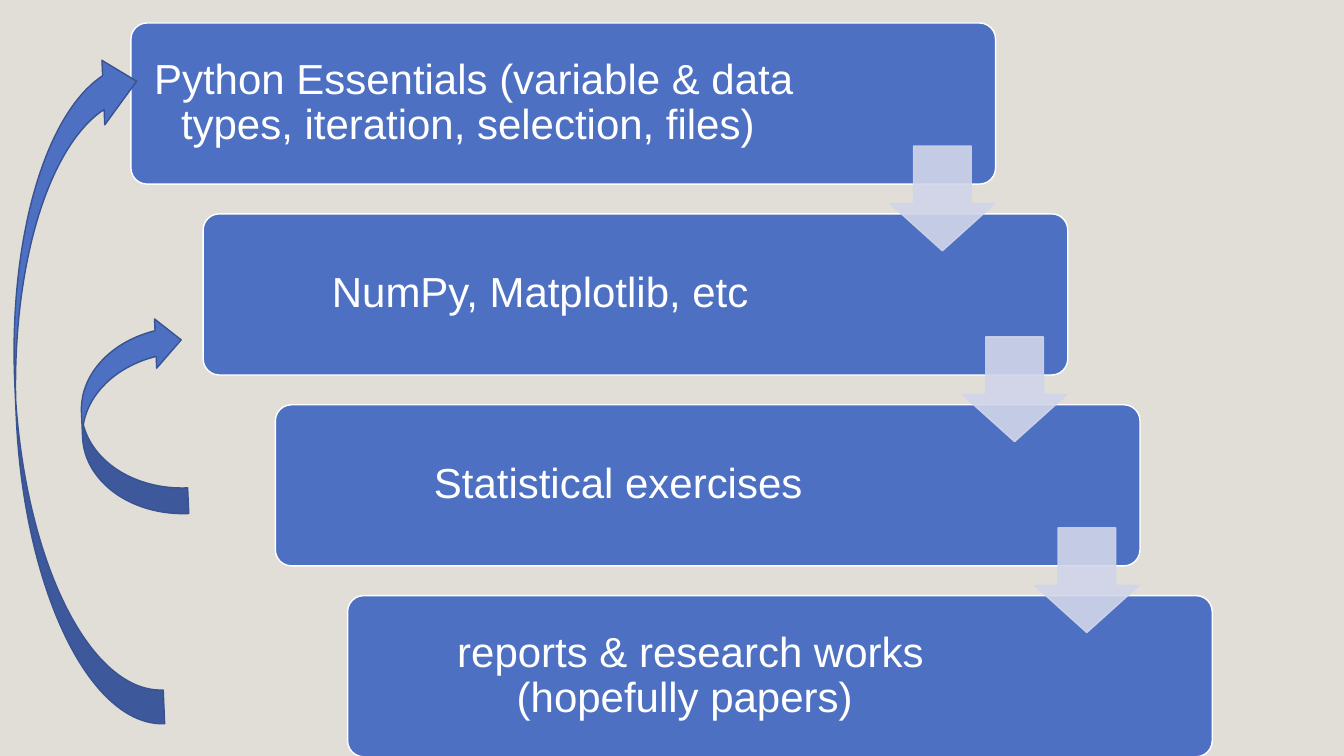
from lxml.etree import SubElement
from pptx import Presentation
from pptx.dml.color import RGBColor
from pptx.enum.shapes import MSO_SHAPE
from pptx.enum.text import MSO_ANCHOR, PP_ALIGN
from pptx.oxml.ns import qn
from pptx.util import Cm, Pt

# Content
STEPS = [
    "Python Essentials (variable & data types, iteration, selection, files) ",
    "NumPy, Matplotlib, etc ",
    "Statistical exercises",
    "reports & research works (hopefully papers) ",
]
# Loops back to earlier steps: left, top, width, height in cm
RETURN_ARROWS = [(2.06, 8.0, 2.59, 5.0), (0.38, 1.3, 3.4, 17.02)]

COLORS = {
    "background": "E1DED8",
    "box": "4D70C3",
    "white": "FFFFFF",
    "down_arrow": "D0D5E9",
    "return_line": "395390",
}

# Staircase geometry in cm
BOX_LEFT, BOX_TOP, BOX_WIDTH, BOX_HEIGHT = 3.3, 0.58, 21.79, 4.06
STEP_RIGHT, STEP_DOWN = 1.82, 4.81
ARROW_LEFT, ARROW_TOP, ARROW_SIZE = 22.43, 3.68, 2.64
TEXT_INSET, TEXT_RIGHT_INSET = 0.3, 4.8


def color(name):
    return RGBColor.from_string(COLORS[name])


def add_shape(slide, kind, bounds, adjustments, fill, line):
    shape = slide.shapes.add_shape(kind, *(Cm(length) for length in bounds))
    for index, value in enumerate(adjustments):
        shape.adjustments[index] = value
    shape.shadow.inherit = False
    shape.fill.solid()
    shape.fill.fore_color.rgb = color(fill)
    shape.line.color.rgb = color(line)
    shape.line.width = Pt(1)
    return shape


def add_box(slide, text, left, top):
    box = add_shape(slide, MSO_SHAPE.ROUNDED_RECTANGLE,
                    (left, top, BOX_WIDTH, BOX_HEIGHT), [0.1], "box", "white")
    frame = box.text_frame
    frame.word_wrap = True
    frame.vertical_anchor = MSO_ANCHOR.MIDDLE
    frame.margin_left = frame.margin_top = frame.margin_bottom = Cm(TEXT_INSET)
    frame.margin_right = Cm(TEXT_RIGHT_INSET)
    frame.text = text
    paragraph = frame.paragraphs[0]
    paragraph.alignment = PP_ALIGN.CENTER
    paragraph.line_spacing = 0.9
    font = paragraph.runs[0].font
    font.name, font.size = "Arial", Pt(30)
    font.color.rgb = color("white")


def add_down_arrow(slide, left, top):
    arrow = add_shape(slide, MSO_SHAPE.DOWN_ARROW, (left, top, ARROW_SIZE, ARROW_SIZE),
                      [0.55, 0.45], "down_arrow", "down_arrow")
    # Fill and line are 90% opaque
    for rgb in arrow.element.spPr.iter(qn("a:srgbClr")):
        SubElement(rgb, qn("a:alpha"), val="90000")


def add_return_arrow(slide, bounds):
    arrow = add_shape(slide, MSO_SHAPE.CURVED_RIGHT_ARROW, bounds,
                      [0.25, 0.479, 0.25], "box", "return_line")
    arrow.rotation = 357.5
    arrow.element.spPr.find(qn("a:xfrm")).set("flipV", "1")


def main():
    presentation = Presentation()
    presentation.slide_width, presentation.slide_height = Cm(33.87), Cm(19.05)
    slide = presentation.slides.add_slide(presentation.slide_layouts[6])
    slide.background.fill.solid()
    slide.background.fill.fore_color.rgb = color("background")

    # Staircase of steps
    for index, text in enumerate(STEPS):
        add_box(slide, text, BOX_LEFT + index * STEP_RIGHT, BOX_TOP + index * STEP_DOWN)

    # One arrow between each pair of steps
    for index in range(len(STEPS) - 1):
        add_down_arrow(slide, ARROW_LEFT + index * STEP_RIGHT, ARROW_TOP + index * STEP_DOWN)

    # Loops back up the staircase
    for bounds in RETURN_ARROWS:
        add_return_arrow(slide, bounds)

    presentation.save("out.pptx")


if __name__ == "__main__":
    main()
